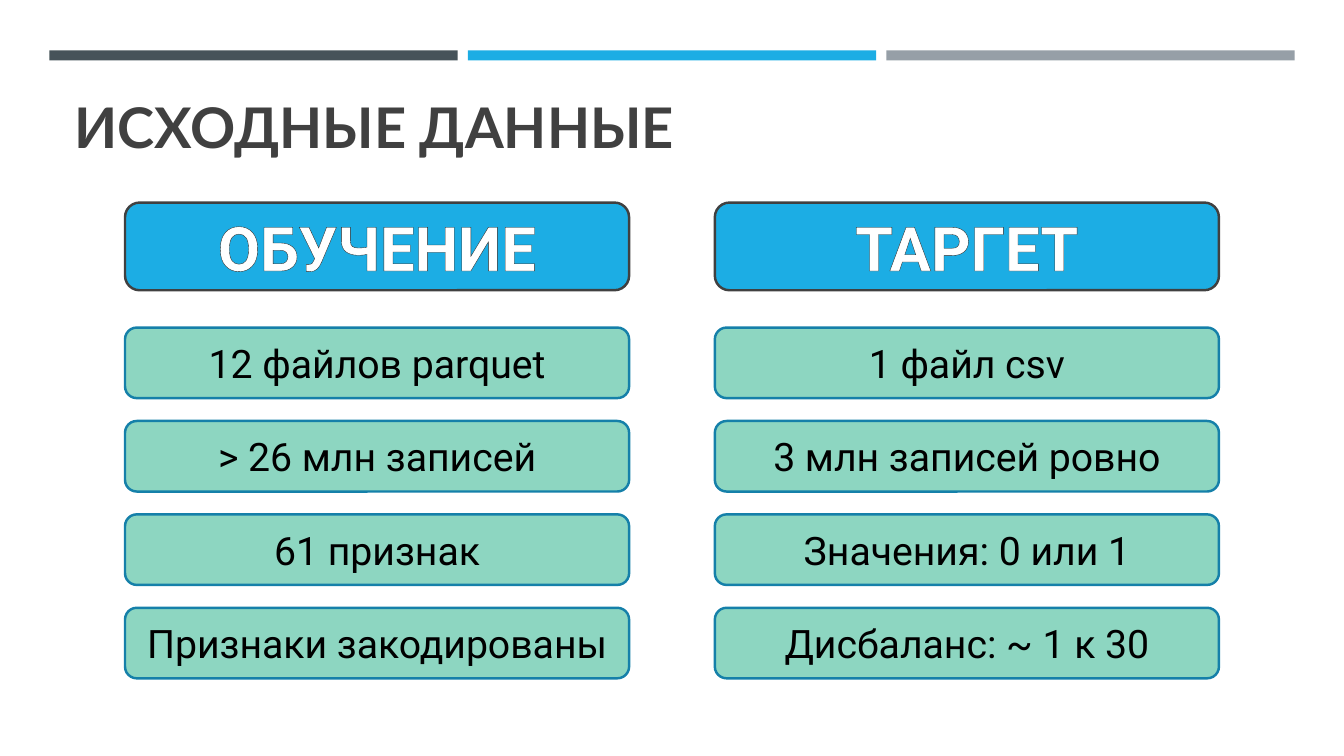
from lxml.etree import SubElement
from pptx import Presentation
from pptx.dml.color import RGBColor
from pptx.enum.shapes import MSO_SHAPE
from pptx.enum.text import MSO_ANCHOR, PP_ALIGN
from pptx.oxml.ns import qn
from pptx.util import Inches, Pt

STRIPE_COLORS = ["465359", "1CADE4", "969FA7"]
COLUMNS = [
    ("ОБУЧЕНИЕ", ["12 файлов parquet", "> 26 млн записей",
                  "61 признак", "Признаки закодированы"]),
    ("ТАРГЕТ", ["1 файл csv", "3 млн записей ровно",
                "Значения: 0 или 1", "Дисбаланс: ~ 1 к 30"]),
]


def color(hex_code):
    return RGBColor.from_string(hex_code)


def add_filled(slide, kind, left, top, width, height, fill, line=None):
    """Add a shape with a flat fill and an optional border."""
    shape = slide.shapes.add_shape(
        kind, Inches(left), Inches(top), Inches(width), Inches(height))
    shape.shadow.inherit = False
    shape.fill.solid()
    shape.fill.fore_color.rgb = color(fill)
    if line:
        shape.line.color.rgb = color(line)
        shape.line.width = Pt(1.75)
    else:
        shape.line.fill.background()
    return shape


def write(frame, text, font, size, text_color, bold=False):
    """Put one formatted line in a text frame and return its run."""
    frame.word_wrap = True
    frame.text = text
    run = frame.paragraphs[0].runs[0]
    run.font.name = font
    run.font.size = Pt(size)
    run.font.bold = bold
    run.font.color.rgb = color(text_color)
    return run


def outline_letters(run, hex_code, width):
    properties = run._r.get_or_add_rPr()
    outline = SubElement(properties, qn("a:ln"), w=str(Pt(width)))
    fill = SubElement(outline, qn("a:solidFill"))
    SubElement(fill, qn("a:srgbClr"), val=hex_code)
    properties.insert(0, outline)


def add_card(slide, left, top, width, height, text, size, fill, line,
             text_color, bold=False):
    """Add a rounded box with centred text and return its run."""
    card = add_filled(slide, MSO_SHAPE.ROUNDED_RECTANGLE,
                      left, top, width, height, fill, line)
    card.text_frame.vertical_anchor = MSO_ANCHOR.MIDDLE
    run = write(card.text_frame, text, "Roboto", size, text_color, bold)
    card.text_frame.paragraphs[0].alignment = PP_ALIGN.CENTER
    return run


def add_stripes(slide, left, top, width, height, gap=0.1):
    stripe_width = (width - gap * (len(STRIPE_COLORS) - 1)) / len(STRIPE_COLORS)
    for index, fill in enumerate(STRIPE_COLORS):
        add_filled(slide, MSO_SHAPE.RECTANGLE,
                   left + index * (stripe_width + gap), top,
                   stripe_width, height, fill)


def add_title(slide, left, top, width, height):
    title = slide.shapes.add_textbox(
        Inches(left), Inches(top), Inches(width), Inches(height))
    title.text_frame.vertical_anchor = MSO_ANCHOR.BOTTOM
    write(title.text_frame, "ИСХОДНЫЕ ДАННЫЕ", "Lato", 40, "404040", bold=True)


def add_column(slide, left, top, width, height, heading, facts):
    """Stack a heading and evenly spaced fact cards down to the box bottom."""
    heading_run = add_card(slide, left, top, width, 0.87, heading, 44,
                           "1CADE4", "404040", "FFFFFF", bold=True)
    outline_letters(heading_run, "262626", 0.75)
    first_offset, fact_height = 1.24, 0.7
    step = (height - first_offset - fact_height) / (len(facts) - 1)
    for index, fact in enumerate(facts):
        add_card(slide, left, top + first_offset + index * step, width,
                 fact_height, fact, 28, "8DD6C1", "1580A9", "000000")


def main():
    presentation = Presentation()
    presentation.slide_width = Inches(13.33)
    presentation.slide_height = Inches(7.5)
    slide = presentation.slides.add_slide(presentation.slide_layouts[6])
    add_stripes(slide, 0.49, 0.5, 12.35, 0.1)
    add_title(slide, 0.64, 0.76, 12.06, 0.87)
    for index, (heading, facts) in enumerate(COLUMNS):
        add_column(slide, 1.24 + index * 5.85, 2.01, 5, 4.72, heading, facts)
    presentation.save("out.pptx")


if __name__ == "__main__":
    main()
